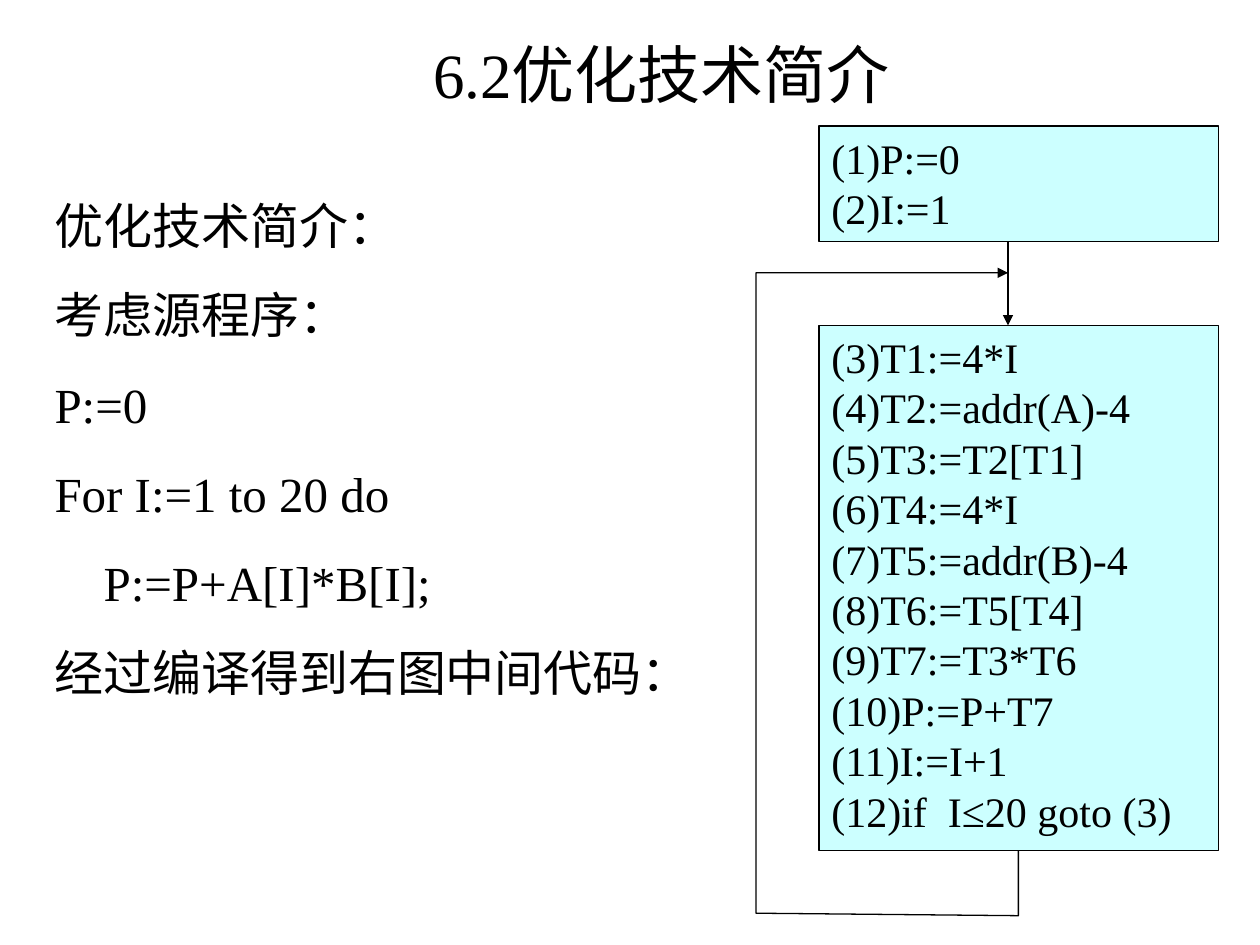
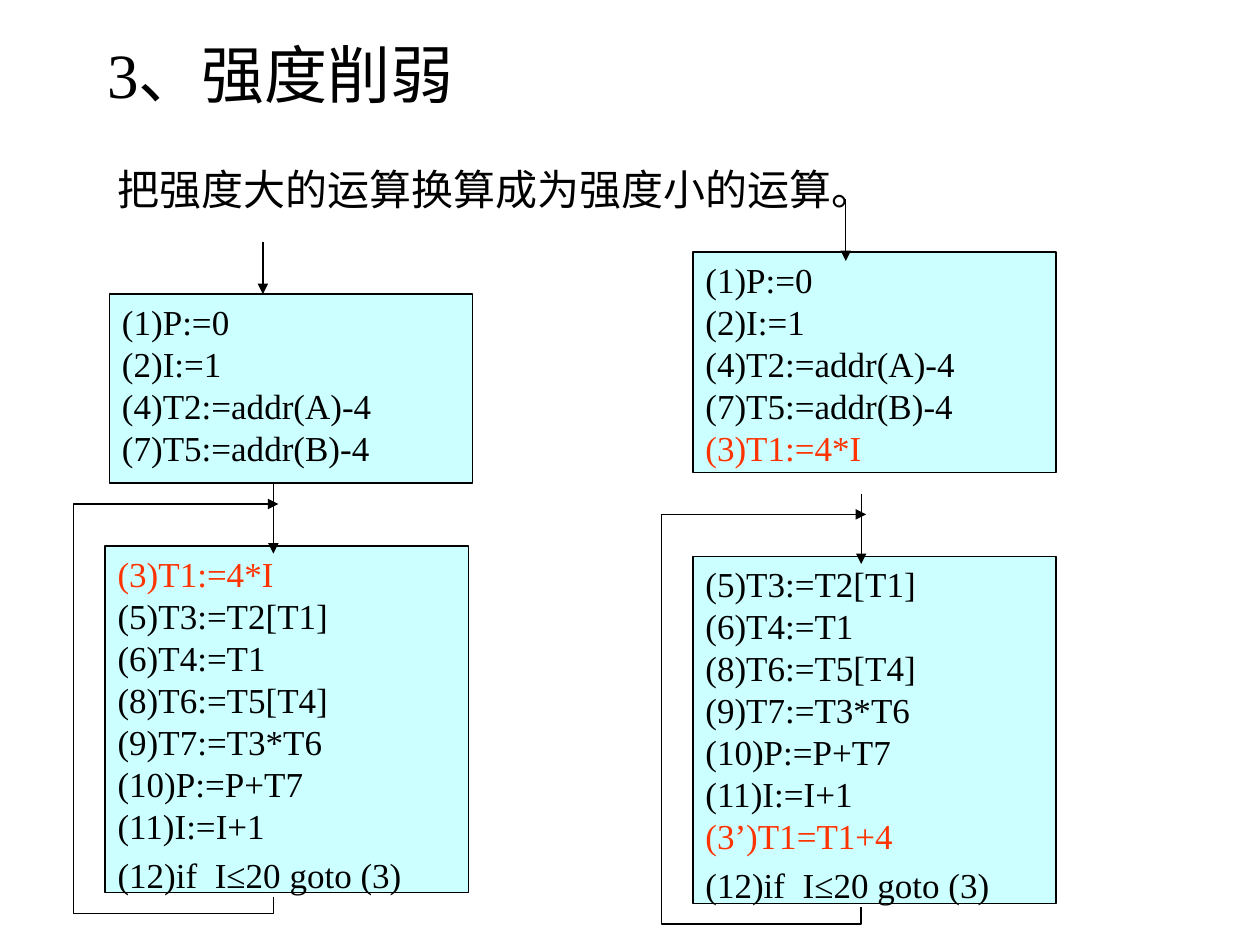
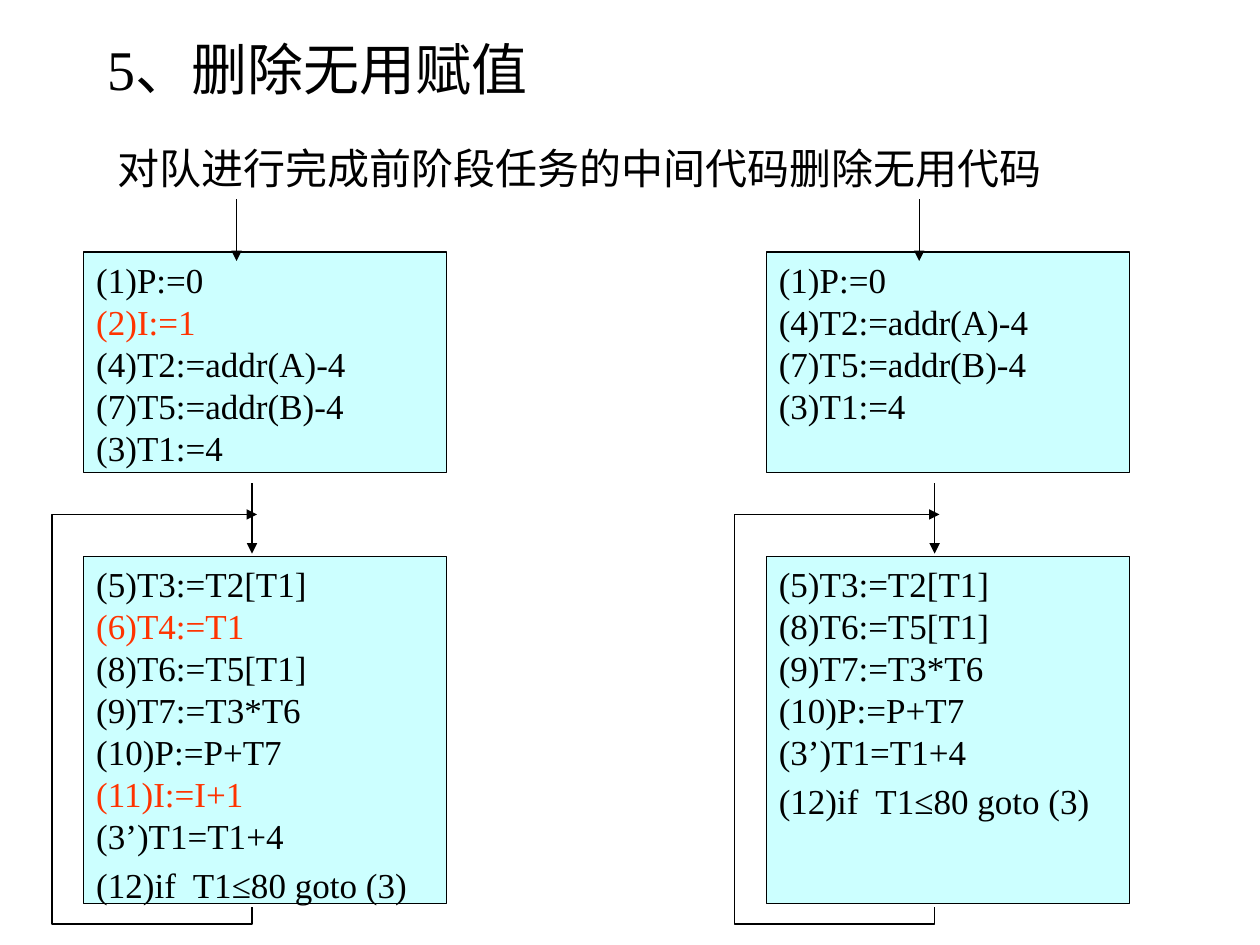
import dataclasses

import pptx
import pptx.dml.color
import pptx.enum.shapes
import pptx.enum.text
import pptx.oxml.ns
import pptx.util
from lxml import etree

Cm, Pt = pptx.util.Cm, pptx.util.Pt
ALIGN = pptx.enum.text.PP_ALIGN
ANCHOR = pptx.enum.text.MSO_ANCHOR


@dataclasses.dataclass(frozen=True)
class Theme:
    font: str = "Times New Roman"
    ink: str = "000000"
    marked: str = "FF3300"
    block: str = "CCFFFF"
    paper: str = "FFFFFF"
    line: float = 0.75
    title: int = 36
    small_title: int = 32
    body: int = 28
    note: int = 24
    code: int = 20


THEME = Theme()


def rgb(value):
    return pptx.dml.color.RGBColor.from_string(value)


# Text
def write(tf, lines, size, marked=(), align=ALIGN.LEFT, before=0,
          anchor=ANCHOR.TOP, indents=None, last_before=0):
    """Fill a text frame; marked lines are red, indents maps a line to cm."""
    tf.word_wrap = True
    tf.vertical_anchor = anchor
    for i, line in enumerate(lines):
        p = tf.paragraphs[0] if i == 0 else tf.add_paragraph()
        p.alignment = align
        p.space_before = Pt(before)
        if indents and line in indents:
            p._p.get_or_add_pPr().set("marL", str(Cm(indents[line])))
        r = p.add_run()
        r.text = line
        r.font.name = THEME.font
        r.font.size = Pt(size)
        r.font.color.rgb = rgb(THEME.marked if line in marked else THEME.ink)
    if last_before:
        p.space_before = Pt(last_before)


def add_text(s, x, y, w, h, lines, size, **fmt):
    sp = s.shapes.add_textbox(Cm(x), Cm(y), Cm(w), Cm(h))
    write(sp.text_frame, lines, size, **fmt)


def add_title(s, text, x=1.91, h=1.69, size=THEME.title, align=ALIGN.LEFT):
    add_text(s, x, 0.64, 21.59, h, [text], size, align=align,
             anchor=ANCHOR.MIDDLE)


def add_note(s, y, text):
    add_text(s, 2.12, y, 20.32, 1.27, [text], THEME.note, before=15)


# Flow graph parts
def set_line(sp):
    sp.line.color.rgb = rgb(THEME.ink)
    sp.line.width = Pt(THEME.line)


def add_block(s, x, y, w, h, lines, size, **fmt):
    rect = pptx.enum.shapes.MSO_SHAPE.RECTANGLE
    sp = s.shapes.add_shape(rect, Cm(x), Cm(y), Cm(w), Cm(h))
    sp.shadow.inherit = False
    sp.fill.solid()
    sp.fill.fore_color.rgb = rgb(THEME.block)
    set_line(sp)
    write(sp.text_frame, lines, size, **fmt)


def add_arrow(s, x1, y1, x2, y2):
    straight = pptx.enum.shapes.MSO_CONNECTOR.STRAIGHT
    sp = s.shapes.add_connector(straight, Cm(x1), Cm(y1), Cm(x2), Cm(y2))
    set_line(sp)
    qn = pptx.oxml.ns.qn
    etree.SubElement(sp.line._get_or_add_ln(), qn("a:tailEnd"),
                     type="triangle")
    etree.SubElement(sp._element.spPr, qn("a:effectLst"))


def add_path(s, points):
    start, *rest = [(Cm(x), Cm(y)) for x, y in points]
    fb = s.shapes.build_freeform(*start)
    fb.add_line_segments(rest, close=False)
    sp = fb.convert_to_shape()
    sp.shadow.inherit = False
    sp.fill.background()
    set_line(sp)


def add_flow(s, x, init, loop, marked, init_box=(0, 5.08, 4.45),
             entry=(3.08, 4.02, 5.26), loop_y=11.22, stem_y=9.74):
    """Draw an initial block, a loop block and the arrows between them.

    init_box is (offset, top, height) and entry is (offset, top, bottom).
    """
    w, stem = 7.32, x + 3.39
    back_y, left, bottom = loop_y - 0.85, x - 0.64, loop_y + 7.41
    dx, top, h = init_box
    add_block(s, x + dx, top, w, h, init, THEME.code, marked=marked)
    add_block(s, x, loop_y, w, 6.99, loop, THEME.code, marked=marked,
              last_before=4)
    add_arrow(s, stem, stem_y, stem, stem_y + 1.42)
    add_arrow(s, x + 2.33, back_y, x + 3.49, back_y)
    dx, top, end = entry
    add_arrow(s, x + dx, top, x + dx, end)
    add_path(s, [(stem, loop_y + 7.07), (stem, bottom), (left, bottom),
                 (left, back_y), (stem, back_y)])


# Slides
def build_intro(s):
    add_title(s, "6.2优化技术简介", x=2.54, align=ALIGN.CENTER)
    x, w, stem, back_y = 16.51, 8.05, 20.32, 5.5
    add_block(s, x, 2.54, w, 2.33, ["(1)P:=0", "(2)I:=1"], THEME.note)
    add_block(s, x, 6.56, w, 10.58, [
        "(3)T1:=4*I", "(4)T2:=addr(A)-4", "(5)T3:=T2[T1]", "(6)T4:=4*I",
        "(7)T5:=addr(B)-4", "(8)T6:=T5[T4]", "(9)T7:=T3*T6", "(10)P:=P+T7",
        "(11)I:=I+1", "(12)if  I≤20 goto (3)"], THEME.note)
    add_arrow(s, stem, 4.87, stem, 6.56)
    add_path(s, [(20.53, 17.15), (20.53, 18.46), (15.24, 18.41),
                 (15.24, back_y), (stem, back_y)])
    add_arrow(s, 19.05, back_y, stem, back_y)
    statement = "P:=P+A[I]*B[I];"
    add_text(s, 0.85, 3.81, 13.5, 10.46, [
        "优化技术简介：", "考虑源程序：", "P:=0", "For I:=1 to 20 do",
        statement, "经过编译得到右图中间代码："],
        THEME.body, before=17.5, indents={statement: 0.99})


def build_strength(s):
    add_title(s, "3、强度削弱")
    init = ["(1)P:=0", "(2)I:=1", "(4)T2:=addr(A)-4", "(7)T5:=addr(B)-4"]
    loop = ["(5)T3:=T2[T1]", "(6)T4:=T1", "(8)T6:=T5[T4]", "(9)T7:=T3*T6",
            "(10)P:=P+T7", "(11)I:=I+1"]
    jump, moved, step = "(12)if  I≤20 goto (3)", "(3)T1:=4*I", "(3’)T1=T1+4"
    add_flow(s, 2.12, init, [moved, *loop, jump], [moved],
             init_box=(0.09, 5.93, 3.81), entry=(3.18, 4.87, 5.93),
             loop_y=11.01)
    add_note(s, 3.18, "把强度大的运算换算成为强度小的运算。")
    add_flow(s, 13.97, [*init, moved], [*loop, step, jump], [moved, step],
             stem_y=9.95)


def build_dead_code(s):
    add_title(s, "5、删除无用赋值", h=1.48, size=THEME.small_title)
    add_note(s, 2.75, "对队进行完成前阶段任务的中间代码删除无用代码")
    init = ["(1)P:=0", "(2)I:=1", "(4)T2:=addr(A)-4", "(7)T5:=addr(B)-4",
            "(3)T1:=4"]
    loop = ["(5)T3:=T2[T1]", "(6)T4:=T1", "(8)T6:=T5[T1]", "(9)T7:=T3*T6",
            "(10)P:=P+T7", "(11)I:=I+1", "(3’)T1=T1+4",
            "(12)if  T1≤80 goto (3)"]
    useless = ["(2)I:=1", "(6)T4:=T1", "(11)I:=I+1"]
    add_flow(s, 1.69, init, loop, useless)
    add_flow(s, 15.45, [line for line in init if line not in useless],
             [line for line in loop if line not in useless], [])


def main():
    prs = pptx.Presentation()
    prs.slide_width, prs.slide_height = Cm(25.4), Cm(19.05)
    for build in (build_intro, build_strength, build_dead_code):
        s = prs.slides.add_slide(prs.slide_layouts[6])
        s.background.fill.solid()
        s.background.fill.fore_color.rgb = rgb(THEME.paper)
        build(s)
    prs.save("out.pptx")


if __name__ == "__main__":
    main()
